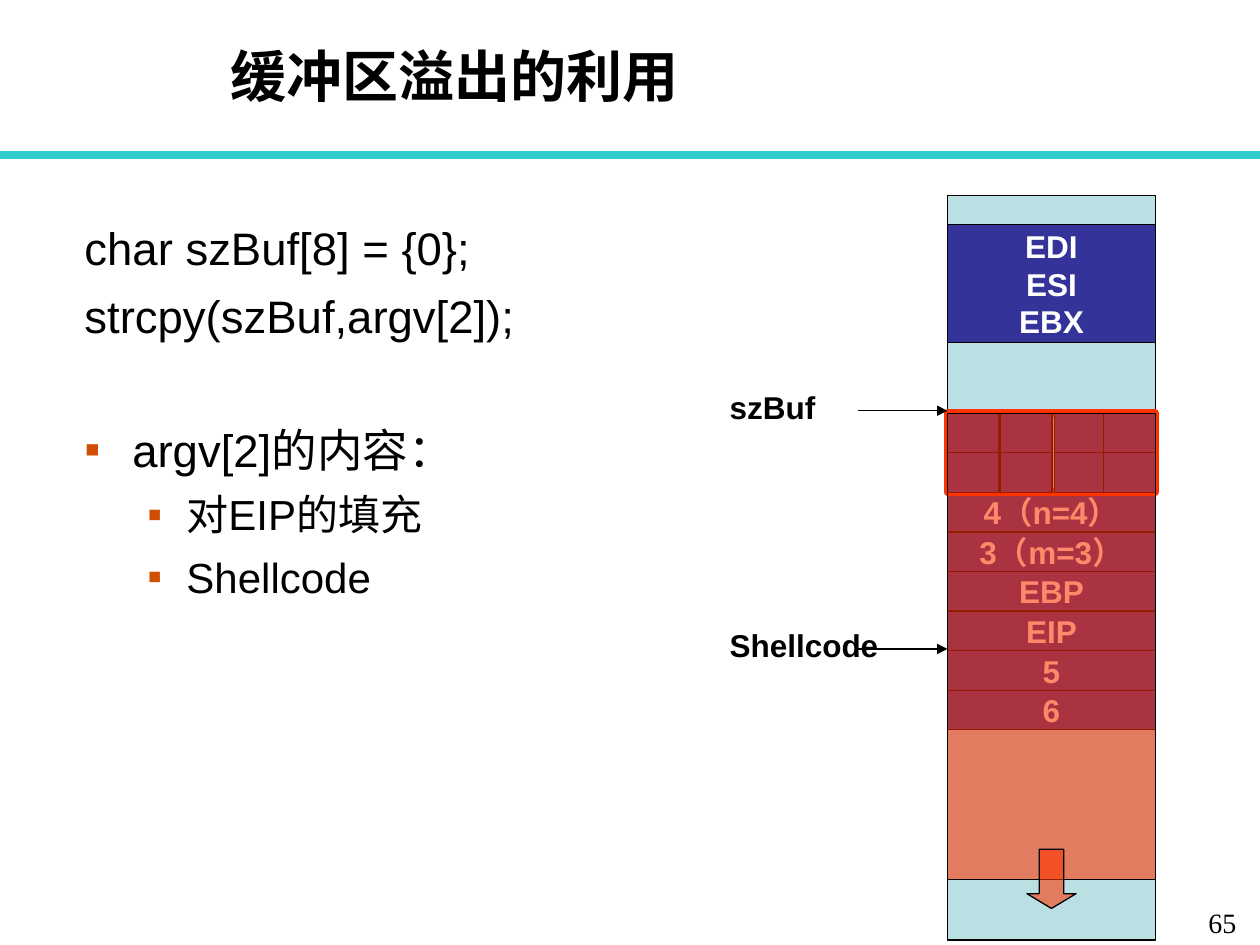
from lxml import etree
from pptx import Presentation
from pptx.dml.color import RGBColor
from pptx.enum.shapes import MSO_CONNECTOR as Connector, MSO_SHAPE as Shape
from pptx.enum.text import MSO_ANCHOR as Anchor, MSO_AUTO_SIZE as AutoSize, PP_ALIGN as Align
from pptx.oxml.ns import qn
from pptx.util import Inches, Pt

COLORS = {
    "black": "000000", "white": "FFFFFF", "teal": "33CCCC", "pale": "BBE0E3",
    "navy": "333399", "red": "FF3300", "bullet": "D14D02",
}

deck = Presentation()
deck.slide_width, deck.slide_height = Inches(10), Inches(7.5)
page = deck.slides.add_slide(deck.slide_layouts[1])


def write(shape, lines, size, color, bold=False, align=Align.LEFT, font="Arial"):
    frame = shape.text_frame
    frame.text = "\n".join(lines)
    for para in frame.paragraphs:
        para.alignment = align
        for span in para.runs:
            span.font.size, span.font.bold, span.font.name = Pt(size), bold, font
            span.font.color.rgb = RGBColor.from_string(COLORS[color])
            etree.SubElement(span.font._element, qn("a:ea"), typeface=font)


def add_block(left, top, width, height, fill=None, kind=Shape.RECTANGLE,
              line="black", weight=0.75, alpha=None):
    block = page.shapes.add_shape(
        kind, Inches(left), Inches(top), Inches(width), Inches(height))
    block.shadow.inherit = False
    block.line.color.rgb = RGBColor.from_string(COLORS[line])
    block.line.width = Pt(weight)
    if fill is None:
        block.fill.background()
        return block
    block.fill.solid()
    block.fill.fore_color.rgb = RGBColor.from_string(COLORS[fill])
    if alpha:
        tint = block._element.spPr.find(qn("a:solidFill"))[0]
        etree.SubElement(tint, qn("a:alpha"), val=str(alpha * 1000))
    return block


# Title and body placeholders
title, body = page.shapes.title, page.placeholders[1]
for holder, (left, top, width, height) in (
        (title, (1.83, 0.33, 8.25, 0.54)), (body, (0.67, 1.75, 5.27, 2.97))):
    holder.left, holder.top = Inches(left), Inches(top)
    holder.width, holder.height = Inches(width), Inches(height)
    frame = holder.text_frame
    frame.margin_left = frame.margin_right = frame.margin_top = frame.margin_bottom = 0
    frame.auto_size, frame.word_wrap = AutoSize.NONE, True
title.text_frame.vertical_anchor = Anchor.MIDDLE
body.text_frame.vertical_anchor = Anchor.TOP
write(title, ["缓冲区溢出的利用"], 32, "black", bold=True)

# Body: text, level, space before, bulleted
items = [
    ("char szBuf[8] = {0};", 0, 0, False),
    ("strcpy(szBuf,argv[2]);", 0, 7.5, False),
    ("argv[2]的内容：", 0, 45, True),
    ("对EIP的填充", 1, 7, True),
    ("Shellcode", 1, 7, True),
]
write(body, [item[0] for item in items], 26, "black")
for para, (text, level, before, bulleted) in zip(body.text_frame.paragraphs, items):
    para.level, para.space_before = level, Pt(before)
    margin, hanging = ((0.38, 0.38), (0.81, 0.31))[level]
    props = para._p.get_or_add_pPr()
    props.set("marL", str(Inches(margin)))
    props.set("indent", str(-Inches(hanging)))
    if bulleted:
        color = etree.SubElement(props, qn("a:buClr"))
        etree.SubElement(color, qn("a:srgbClr"), val=COLORS["bullet"])
        etree.SubElement(props, qn("a:buFont"), typeface="Arial")
        etree.SubElement(props, qn("a:buChar"), char="▪")
    else:
        etree.SubElement(props, qn("a:buNone"))
    if level:
        para.runs[0].font.size = Pt(24)

# Stack column with its named rows
LEFT, WIDTH, ROW = 7.52, 1.65, 0.314
BUFFER_TOP = 3.28
add_block(LEFT, 1.55, WIDTH, 5.91, "pale")
rows = [(1.78, 0.94, ["EDI", "ESI", "EBX"])]
for index, name in enumerate(["4（n=4）", "3（m=3）", "EBP", "EIP", "5", "6"]):
    rows.append((BUFFER_TOP + (index + 2) * ROW, ROW, [name]))
for top, height, names in rows:
    block = add_block(LEFT, top, WIDTH, height, "navy")
    block.text_frame.word_wrap = False
    block.text_frame.vertical_anchor = Anchor.MIDDLE
    write(block, names, 18, "white", bold=True, align=Align.CENTER)

# Buffer: red frame, eight byte cells, overflow overlay
add_block(LEFT, BUFFER_TOP, WIDTH, 2 * ROW, line="red", weight=4.5)
for row in (1, 0):
    for left in (LEFT, 7.94, 8.37, 8.76):
        add_block(left, BUFFER_TOP + row * ROW, 0.41, ROW, "navy")
add_block(LEFT, BUFFER_TOP, WIDTH, 3.7, "red", alpha=58)
arrow = add_block(8.15, 6.74, 0.39, 0.47, "red", Shape.DOWN_ARROW, alpha=58)
arrow.adjustments[0], arrow.adjustments[1] = 0.5, 0.3

# Header rule and pointers into the stack
for start, end, y, color, weight, pointed in (
        (0, 10, 1.23, "teal", 5, False),
        (6.81, LEFT, 3.26, "black", 0.75, True),
        (6.81, LEFT, 5.15, "black", 0.75, True)):
    rule = page.shapes.add_connector(
        Connector.STRAIGHT, Inches(start), Inches(y), Inches(end), Inches(y))
    rule.line.color.rgb = RGBColor.from_string(COLORS[color])
    rule.line.width = Pt(weight)
    if pointed:
        etree.SubElement(rule.line._get_or_add_ln(), qn("a:tailEnd"), type="triangle")
    etree.SubElement(rule._element.spPr, qn("a:effectLst"))

# Pointer labels and page number
for text, left, top, width, height, size, bold, font, wrap in (
        ("szBuf", 5.69, 3.03, 0.88, 0.4, 18, True, "Arial", False),
        ("Shellcode", 5.69, 4.92, 1.38, 0.4, 18, True, "Arial", False),
        ("65", 7.83, 7.14, 2.08, 0.28, 16, False, "Times New Roman", True)):
    box = page.shapes.add_textbox(
        Inches(left), Inches(top), Inches(width), Inches(height))
    box.text_frame.word_wrap = wrap
    write(box, [text], size, "black", bold, Align.RIGHT, font)

deck.save("out.pptx")
